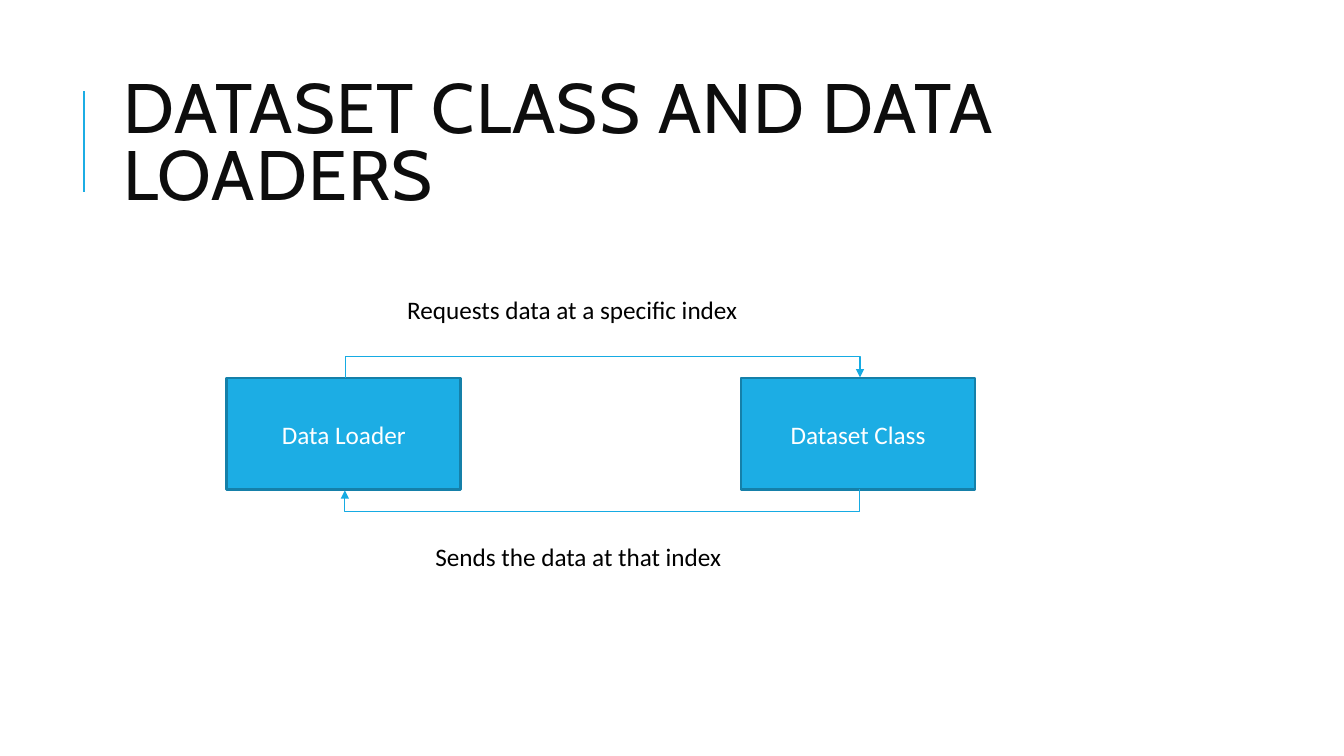
from pptx import Presentation, util as u
from pptx.dml.color import RGBColor
from pptx.enum import shapes, text
from pptx.oxml.ns import qn
from lxml import etree

SKY = RGBColor(0x1C, 0xAD, 0xE4)
ARROW = RGBColor(0x16, 0xAB, 0xE3)
EDGE = RGBColor(0x15, 0x80, 0xA9)
INK = RGBColor(0x0D, 0x0D, 0x0D)
BLACK = RGBColor(0, 0, 0)
WHITE = RGBColor(0xFF, 0xFF, 0xFF)

WIDTH, HEIGHT = 13.33, 7.5
BOX_WIDTH, BOX_HEIGHT = 2.32, 1.11
COLUMN_STEP = 5.1
ARROW_REACH = 0.22
ARROW_SKEW = 0.01


def write(frame, words, size, font, color, align=text.PP_ALIGN.LEFT):
    frame.word_wrap = True
    para = frame.paragraphs[0]
    para.alignment = align
    span = para.add_run()
    span.text = words
    span.font.size = u.Pt(size)
    span.font.name = font
    span.font.color.rgb = color
    return para, span


def add_line(page, kind, ends, color, weight):
    line = page.shapes.add_connector(kind, *(u.Inches(n) for n in ends))
    line.line.color.rgb = color
    line.line.width = u.Pt(weight)
    etree.SubElement(line._element.spPr, qn("a:effectLst"))
    return line


def add_heading(page, left, top, width, height):
    middle = top + height / 2
    add_line(page, shapes.MSO_CONNECTOR.STRAIGHT,
             (left - 0.29, middle + 0.44, left - 0.29, middle - 0.56), SKY, 1.5)
    title = page.shapes.title
    title.left, title.top, title.width, title.height = map(
        u.Inches, (left, top, width, height))
    frame = title.text_frame
    frame.auto_size = text.MSO_AUTO_SIZE.NONE
    frame.vertical_anchor = text.MSO_ANCHOR.MIDDLE
    para, span = write(frame, "DATASET CLASS AND DATA LOADERS", 50, "Cabin", INK)
    para.line_spacing = 0.8
    span.font._element.set("spc", "90")


def add_box(page, left, top, words):
    box = page.shapes.add_shape(shapes.MSO_SHAPE.RECTANGLE, *map(
        u.Inches, (left, top, BOX_WIDTH, BOX_HEIGHT)))
    box.shadow.inherit = False
    box.fill.solid()
    box.fill.fore_color.rgb = SKY
    box.line.color.rgb = EDGE
    box.line.width = u.Pt(2)
    box.text_frame.vertical_anchor = text.MSO_ANCHOR.MIDDLE
    write(box.text_frame, words, 18, "Calibri", WHITE, text.PP_ALIGN.CENTER)


def add_u_arrow(page, center, level, side):
    """Arrow over the boxes to the right (side 1) or under them to the left (-1).

    The elbow is laid out upright and then turned by 90 degrees.
    """
    dx, dy = side * ARROW_SKEW / 2, side * COLUMN_STEP / 2
    arrow = add_line(page, shapes.MSO_CONNECTOR.ELBOW,
                     (center + dx, level + dy, center - dx, level - dy), ARROW, 0.75)
    properties = arrow._element.spPr
    properties.find(qn("a:xfrm")).set("rot", "5400000")
    bend = round(ARROW_REACH / ARROW_SKEW * 100000)
    etree.SubElement(properties.find(".//" + qn("a:avLst")), qn("a:gd"),
                     name="adj1", fmla=f"val {bend}")
    etree.SubElement(properties.find(qn("a:ln")), qn("a:tailEnd"), type="triangle")


def add_caption(page, left, top, width, words):
    caption = page.shapes.add_textbox(*map(u.Inches, (left, top, width, 0.4)))
    write(caption.text_frame, words, 18, "Calibri", BLACK)


def add_exchange(page, left, top):
    for column, words in enumerate(("Data Loader", "Dataset Class")):
        add_box(page, left + column * COLUMN_STEP, top, words)
    center = left + (BOX_WIDTH + COLUMN_STEP) / 2
    add_u_arrow(page, center + 0.02, top, 1)
    add_u_arrow(page, center + 0.01, top + BOX_HEIGHT, -1)
    add_caption(page, left + 1.69, top - 0.88, 4.33, "Requests data at a specific index")
    add_caption(page, left + 1.97, top + 1.57, 3.77, "Sends the data at that index")


def main():
    deck = Presentation()
    deck.slide_width, deck.slide_height = u.Inches(WIDTH), u.Inches(HEIGHT)
    page = deck.slides.add_slide(deck.slide_layouts[5])
    add_heading(page, 1.12, 0.64, 10.63, 1.64)
    add_exchange(page, 2.25, HEIGHT / 2)
    deck.save("out.pptx")


if __name__ == "__main__":
    main()
